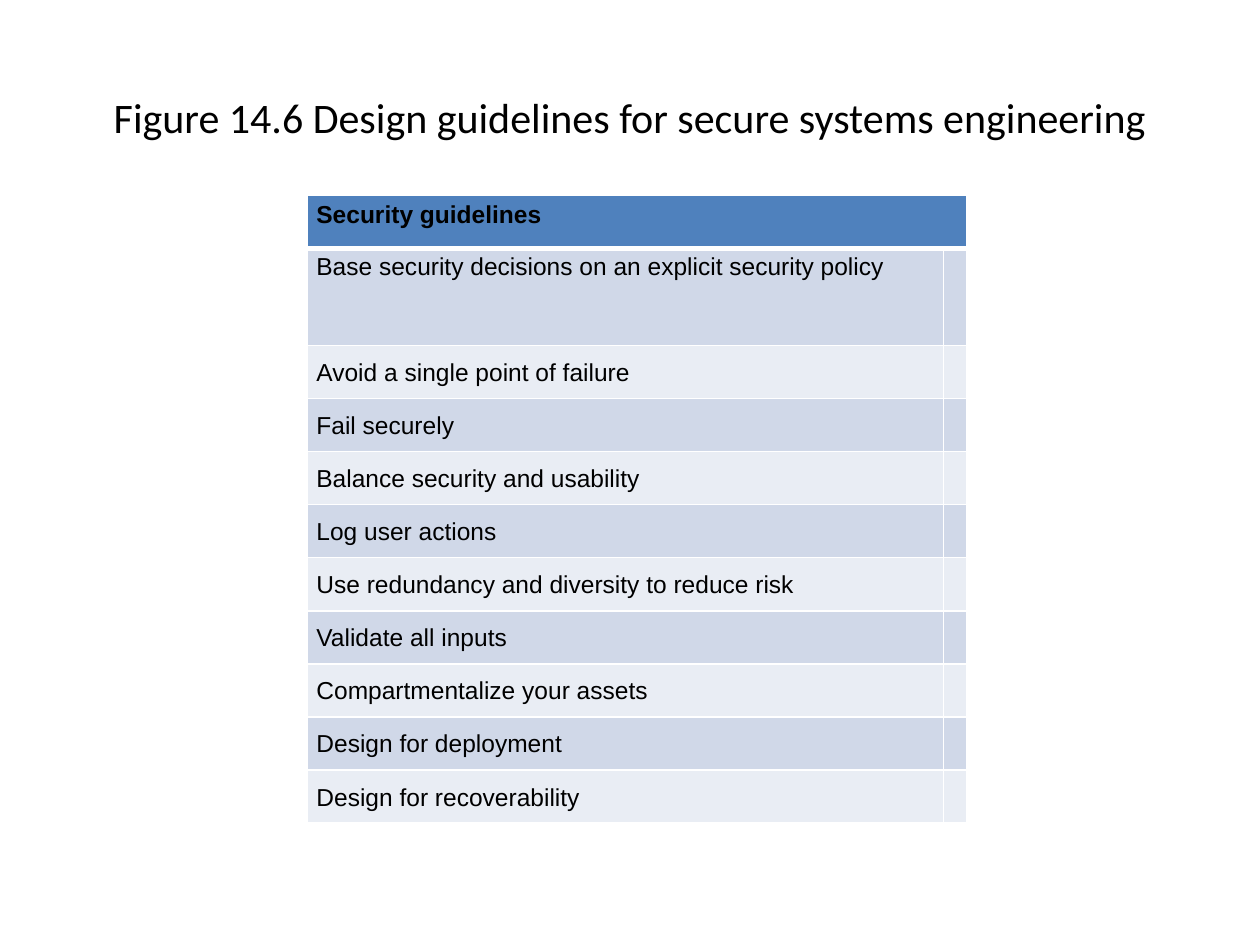
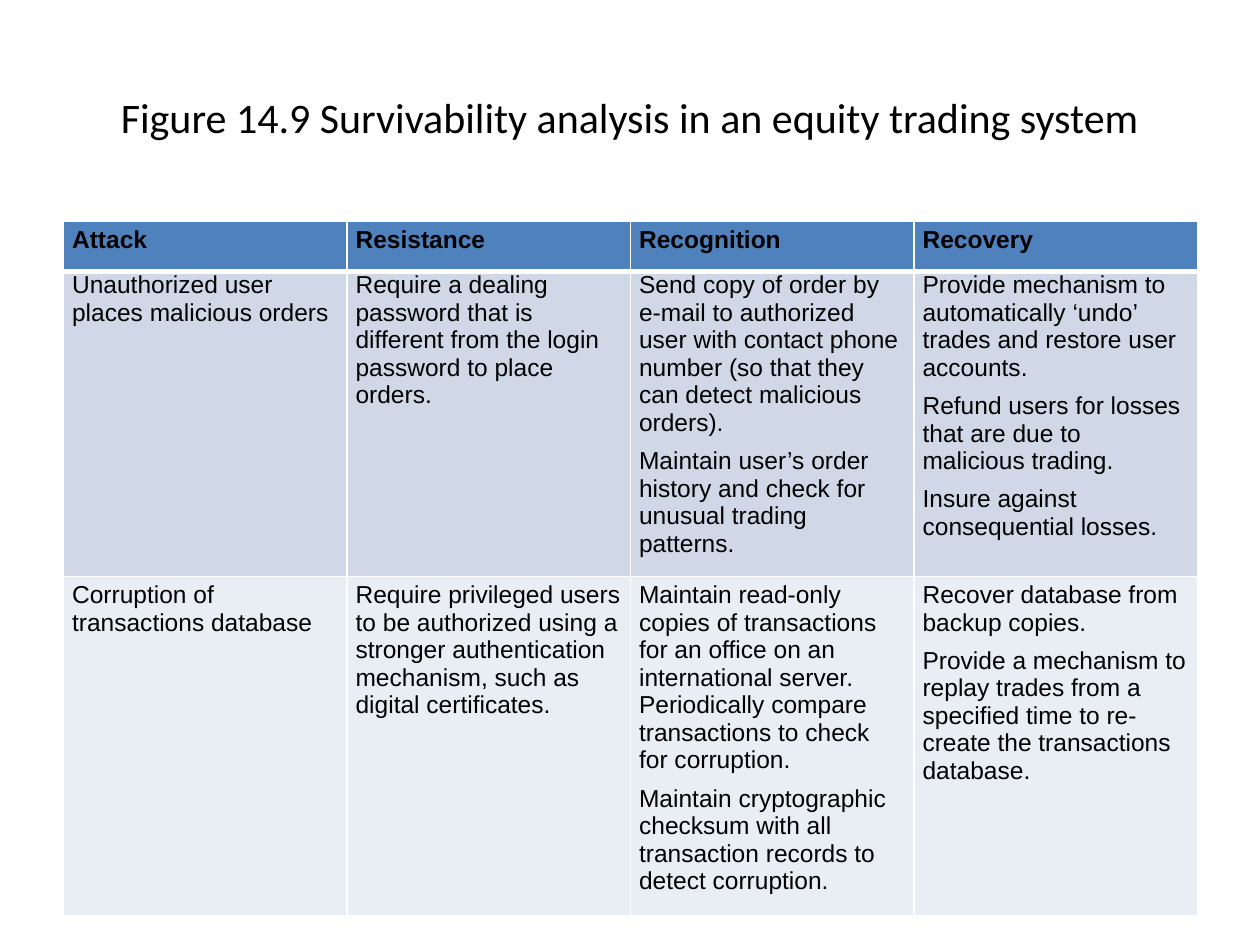
from dataclasses import dataclass

from lxml import etree
from pptx import Presentation
from pptx import util as u
from pptx.dml.color import RGBColor
from pptx.enum import text
from pptx.oxml import ns

Pt = u.Pt


# Colours, fonts and sizes shared by both slides
@dataclass(frozen=True)
class Theme:
    ink: str = "000000"
    header: str = "4F81BD"
    bands: tuple = ("D0D8E8", "E9EDF4")
    rule: str = "FFFFFF"
    title_font: str = "Calibri"
    title_size: int = 24
    body_font: str = "Arial"
    body_size: int = 14
    thin: int = 1
    thick: int = 3


THEME = Theme()
JUSTIFY = text.PP_ALIGN.JUSTIFY


def set_all(target, values):
    for name, value in values.items():
        setattr(target, name, value)


def style_font(font, family, size, bold=False):
    set_all(font, {"name": family, "size": Pt(size), "bold": bold})
    font.color.rgb = RGBColor.from_string(THEME.ink)


def add_title(slide, wording):
    heading = slide.shapes.add_textbox(Pt(36), Pt(21.6), Pt(648), Pt(90))
    frame = heading.text_frame
    set_all(frame, {"word_wrap": True, "vertical_anchor": text.MSO_ANCHOR.MIDDLE})
    line = frame.paragraphs[0]
    set_all(line, {"text": wording, "alignment": text.PP_ALIGN.CENTER})
    style_font(line.font, THEME.title_font, THEME.title_size)


def rule_cell(cell, row):
    """Draw white rules, with a thick one between header and body."""
    properties = cell._tc.get_or_add_tcPr()
    thick_edge = {0: "lnB", 1: "lnT"}.get(row)
    for edge in ("lnL", "lnR", "lnT", "lnB"):
        width = THEME.thick if edge == thick_edge else THEME.thin
        line = etree.SubElement(properties, ns.qn(f"a:{edge}"), w=str(Pt(width)))
        fill = etree.SubElement(line, ns.qn("a:solidFill"))
        etree.SubElement(fill, ns.qn("a:srgbClr"), val=THEME.rule)


def write_cell(cell, paragraphs, bold, inset, layout):
    set_all(cell, {"margin_left": Pt(5), "margin_right": Pt(5),
                   "margin_top": Pt(inset), "margin_bottom": Pt(0)})
    frame = cell.text_frame
    for index, wording in enumerate(paragraphs):
        line = frame.add_paragraph() if index else frame.paragraphs[0]
        set_all(line, {"text": wording, **layout})
        if index:
            line.space_before = Pt(6)
        style_font(line.font, THEME.body_font, THEME.body_size, bold)


def add_banded_table(slide, left, top, widths, heights, rows, insets, layouts):
    """Each row is a list of cells, each cell a list of paragraphs."""
    frame = slide.shapes.add_table(len(rows), len(widths), Pt(left), Pt(top),
                                   Pt(sum(widths)), Pt(sum(heights)))
    table = frame.table
    set_all(table, {"first_row": False, "horz_banding": False})
    for column, width in zip(table.columns, widths):
        column.width = Pt(width)
    for index, (row, height) in enumerate(zip(table.rows, heights)):
        row.height = Pt(height)
        colour = THEME.bands[(index - 1) % 2] if index else THEME.header
        for cell, paragraphs in zip(row.cells, rows[index]):
            rule_cell(cell, index)
            cell.fill.solid()
            cell.fill.fore_color.rgb = RGBColor.from_string(colour)
            write_cell(cell, paragraphs, index == 0, insets[index], layouts[index])
    return table


# Slide 1: one guideline per row beside a narrow empty column
def add_guidelines(slide):
    add_title(slide, "Figure 14.6 Design guidelines for secure systems engineering")
    guidelines = [
        "Security guidelines",
        "Base security decisions on an explicit security policy",
        "Avoid a single point of failure",
        "Fail securely",
        "Balance security and usability",
        "Log user actions",
        "Use redundancy and diversity to reduce risk",
        "Validate all inputs",
        "Compartmentalize your assets",
        "Design for deployment",
        "Design for recoverability",
    ]
    spaced = len(guidelines) - 2
    single, wide = {"alignment": JUSTIFY}, {"alignment": JUSTIFY, "line_spacing": 1.5}
    table = add_banded_table(
        slide, 175.8, 111.8, [363.3, 13.6], [30.2, 55.4] + [30.35] * spaced,
        [[[guideline], []] for guideline in guidelines],
        [3, 3] + [0] * spaced, [single] * 2 + [wide] * spaced)
    table.cell(0, 0).merge(table.cell(0, 1))


# Slide 2: attacks against the three survivability strategies
def add_survivability(slide):
    add_title(slide, "Figure 14.9 Survivability analysis in an equity trading system")
    analysis = [
        [["Attack"], ["Resistance"], ["Recognition"], ["Recovery"]],
        [
            ["Unauthorized user places malicious orders"],
            ["Require a dealing password that is different from the login "
             "password to place orders."],
            ["Send copy of order by e-mail to authorized user with contact phone "
             "number (so that they can detect malicious orders).",
             "Maintain user’s order history and check for unusual trading patterns."],
            ["Provide mechanism to automatically ‘undo’ trades and restore user accounts.",
             "Refund users for losses that are due to malicious trading.",
             "Insure against consequential losses."],
        ],
        [
            ["Corruption of transactions database"],
            ["Require privileged users to be authorized using a stronger "
             "authentication mechanism, such as digital certificates."],
            ["Maintain read-only copies of transactions for an office on an "
             "international server. Periodically compare transactions to check "
             "for corruption.",
             "Maintain cryptographic checksum with all transaction records to "
             "detect corruption."],
            ["Recover database from backup copies.",
             "Provide a mechanism to replay trades from a specified time to "
             "re-create the transactions database."],
        ],
    ]
    add_banded_table(slide, 36.2, 126.2, [162] * 4, [29, 163.5, 184.3], analysis,
                     [3, 0, 3], [{"alignment": JUSTIFY}, {}, {}])


def main():
    deck = Presentation()
    set_all(deck, {"slide_width": Pt(720), "slide_height": Pt(540)})
    blank = deck.slide_layouts[6]
    for build in (add_guidelines, add_survivability):
        build(deck.slides.add_slide(blank))
    deck.save("out.pptx")


if __name__ == "__main__":
    main()
